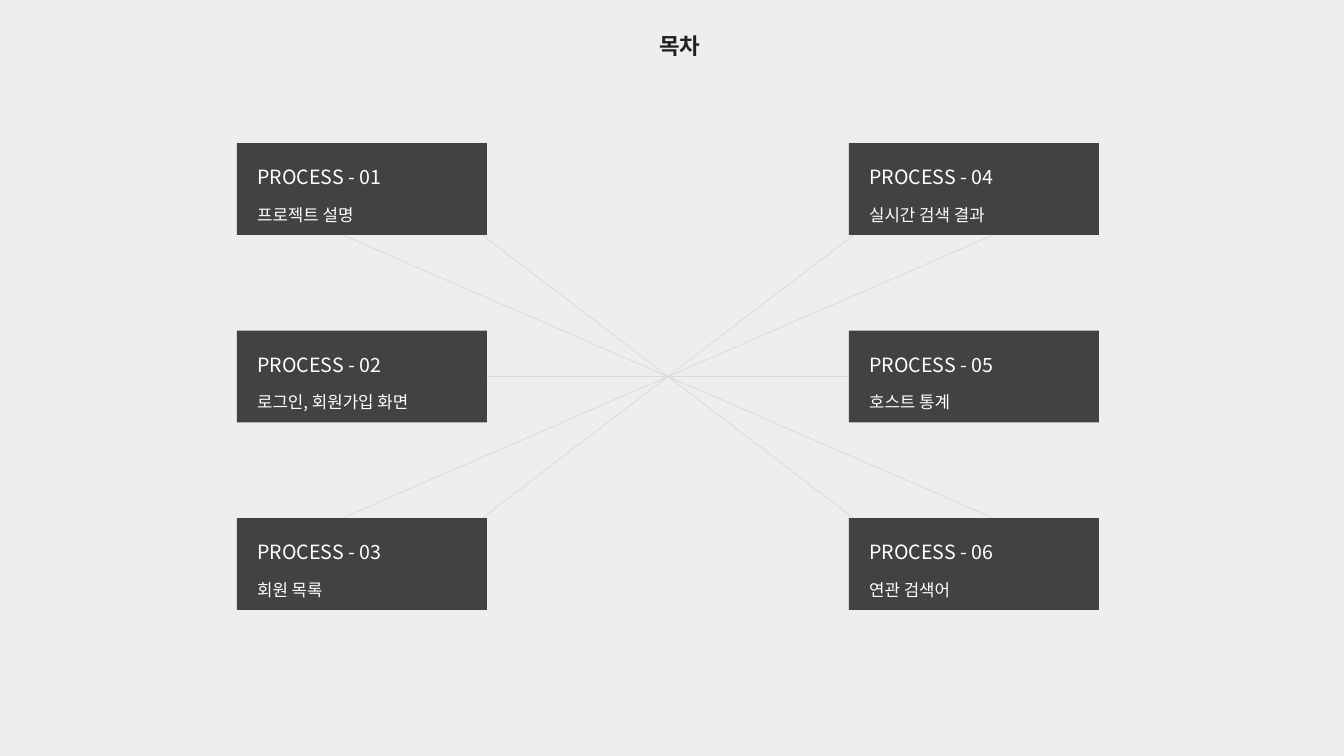
from pptx import Presentation
from pptx.dml.color import RGBColor
from pptx.enum.shapes import MSO_CONNECTOR, MSO_SHAPE
from pptx.enum.text import MSO_ANCHOR, MSO_AUTO_SIZE, PP_ALIGN
from pptx.oxml.ns import qn
from pptx.util import Inches, Pt
from lxml.etree import SubElement

FONT = "Noto Sans CJK KR"


def rgb(value):
    return RGBColor.from_string(value)


def write(p, text, size, color, bold=False):
    p.alignment = PP_ALIGN.LEFT
    p.line_spacing = 1.5
    r = p.add_run()
    r.text = text
    for name, value in {"name": FONT, "size": Pt(size), "bold": bold}.items():
        setattr(r.font, name, value)
    r.font.color.rgb = rgb(color)
    SubElement(r.font._element, qn("a:ea"), typeface=FONT)


prs = Presentation()
prs.slide_width = Inches(13.33)
prs.slide_height = Inches(7.5)
s = prs.slides.add_slide(prs.slide_layouts[5])
s.background.fill.solid()
s.background.fill.fore_color.rgb = rgb("EEEEEE")

title = s.shapes.title
title.left, title.top, title.width, title.height = map(Inches, (6.44, 0.14, 0.73, 0.45))
tf = title.text_frame
for name, value in {
    "word_wrap": True,
    "auto_size": MSO_AUTO_SIZE.SHAPE_TO_FIT_TEXT,
    "vertical_anchor": MSO_ANCHOR.TOP,
}.items():
    setattr(tf, name, value)
write(tf.paragraphs[0], "목차", 16, "212121", True)

TOP, LEFT, BOTTOM, RIGHT = range(4)
links = [
    (0, TOP, 5, BOTTOM),
    (2, BOTTOM, 3, TOP),
    (0, LEFT, 5, RIGHT),
    (3, RIGHT, 2, LEFT),
    (1, LEFT, 4, RIGHT),
]
lines = []
for link in links:
    line = s.shapes.add_connector(MSO_CONNECTOR.STRAIGHT, 0, 0, 0, 0)
    line.line.color.rgb = rgb("D9D9D9")
    line.line.width = Pt(0.5)
    SubElement(line._element.spPr, qn("a:effectLst"))
    lines.append(line)

topics = [
    "프로젝트 설명", "로그인, 회원가입 화면", "회원 목록",
    "실시간 검색 결과", "호스트 통계", "연관 검색어",
]
boxes = []
for i, topic in enumerate(topics):
    col, row = divmod(i, 3)
    box = s.shapes.add_shape(
        MSO_SHAPE.RECTANGLE,
        Inches(2.35 + 6.07 * col), Inches(1.42 + 1.86 * row),
        Inches(2.48), Inches(0.91),
    )
    box.shadow.inherit = False
    box.fill.solid()
    box.fill.fore_color.rgb = rgb("424242")
    box.line.fill.background()
    tf = box.text_frame
    tf.word_wrap = True
    tf.vertical_anchor = MSO_ANCHOR.MIDDLE
    tf.margin_left = Inches(0.2)
    write(tf.paragraphs[0], f"PROCESS - {i + 1:02}", 14, "FFFFFF")
    p = tf.add_paragraph()
    p.space_before = Pt(4)
    write(p, topic, 12, "FFFFFF")
    boxes.append(box)

for line, (start, start_side, end, end_side) in zip(lines, links):
    line.begin_connect(boxes[start], start_side)
    line.end_connect(boxes[end], end_side)

prs.save("out.pptx")
